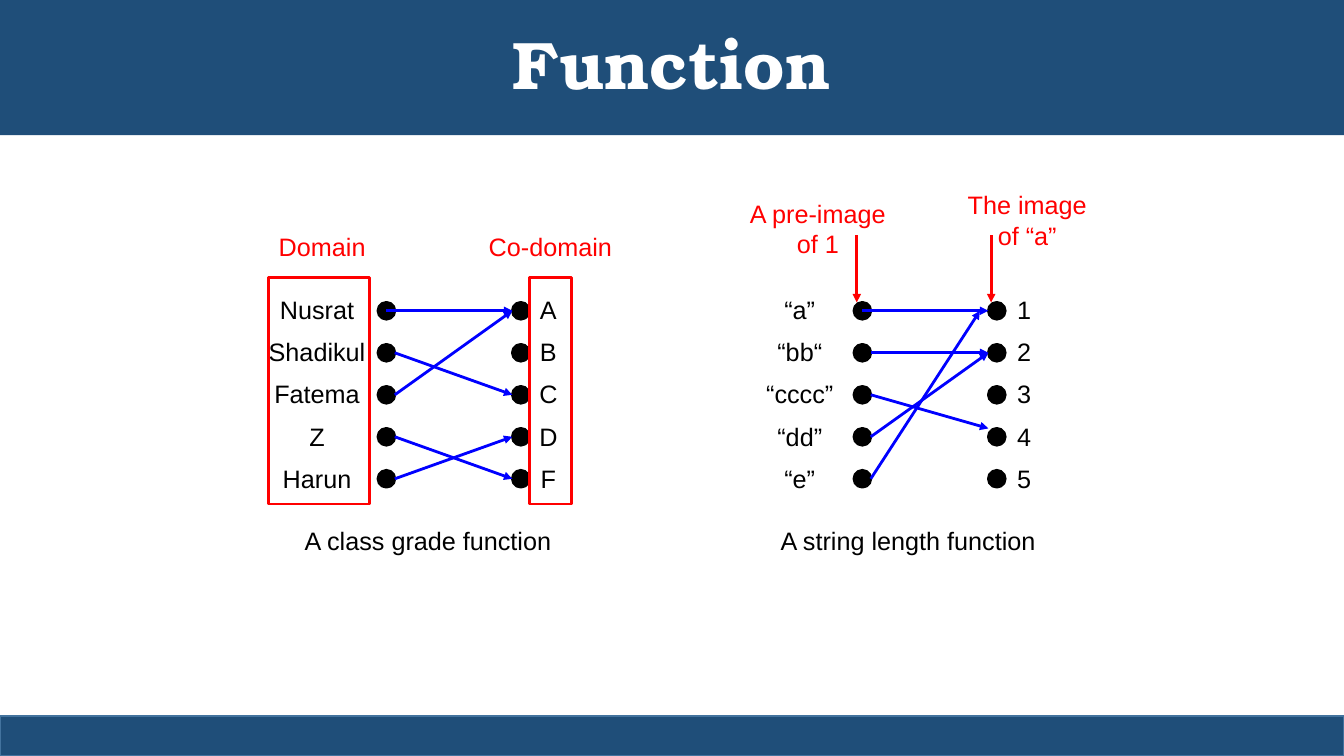
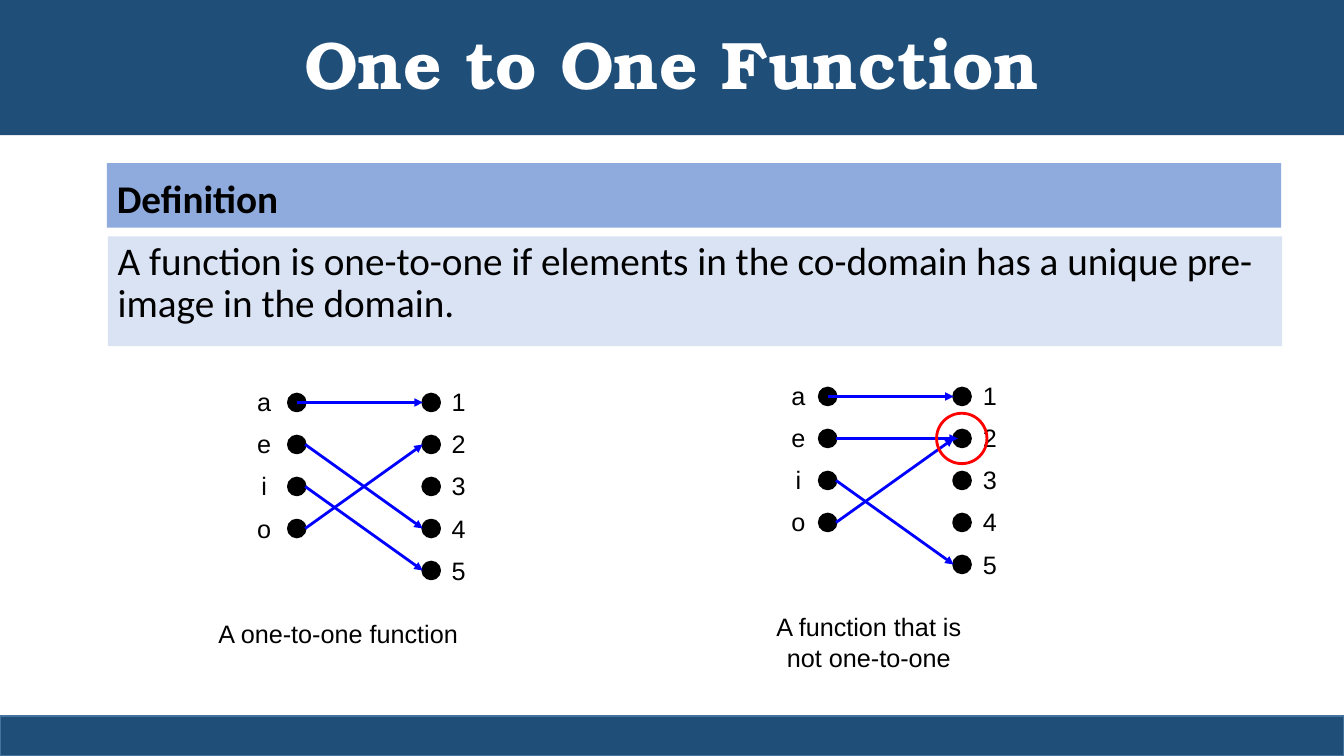
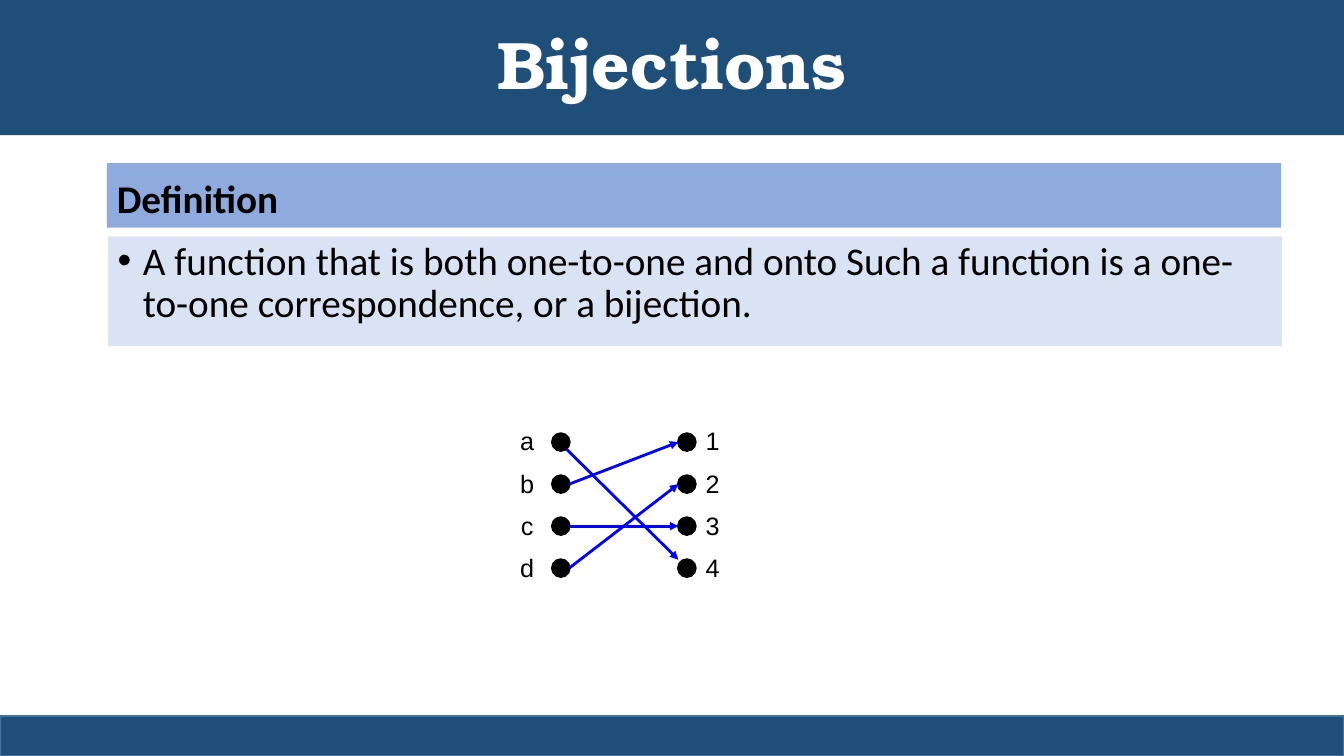
from collections import namedtuple
from dataclasses import dataclass

from lxml.etree import SubElement
from pptx import Presentation
from pptx.dml.color import RGBColor
from pptx.enum.shapes import MSO_CONNECTOR, MSO_SHAPE
from pptx.enum.text import MSO_ANCHOR, PP_ALIGN
from pptx.oxml.ns import qn
from pptx.util import Pt


@dataclass(frozen=True)
class Theme:
    band: str = "1F4E79"
    band_edge: str = "43739E"
    heading_fill: str = "8FAADC"
    body_fill: str = "DAE3F3"
    black: str = "000000"
    white: str = "FFFFFF"
    blue: str = "0000FF"
    red: str = "FF0000"
    title_font: str = "TeX Gyre Bonum"
    body_font: str = "Calibri"
    label_font: str = "Arial"
    title_size: int = 48
    body_size: int = 28
    label_size: int = 18
    stroke: int = 2


theme = Theme()
Arrow = namedtuple("Arrow", "source target start_x start_y end_x end_y", defaults=(0, 0, 0, 0))
Column = namedtuple("Column", "dots_left labels_left labels_width labels")
Diagram = namedtuple("Diagram", "top domain codomain arrows caption", defaults=(None,))
Note = namedtuple("Note", "text left top width")


def draw(slide, preset, box, fill=None, line=None, width=theme.stroke):
    shape = slide.shapes.add_shape(preset, *map(Pt, box))
    shape.shadow.inherit = False
    if fill:
        shape.fill.solid()
        shape.fill.fore_color.rgb = RGBColor.from_string(fill)
    else:
        shape.fill.background()
    if line:
        shape.line.color.rgb = RGBColor.from_string(line)
        shape.line.width = Pt(width)
    else:
        shape.line.fill.background()
    return shape


def write(shape, text, font=theme.label_font, size=theme.label_size, color=theme.black,
          bold=False, align=PP_ALIGN.CENTER, anchor=MSO_ANCHOR.TOP, spacing=1.0,
          wrap=False, bullet=False):
    frame = shape.text_frame
    frame.word_wrap = wrap
    frame.vertical_anchor = anchor
    for index, line in enumerate(text.split("\n")):
        paragraph = frame.add_paragraph() if index else frame.paragraphs[0]
        if bullet:
            properties = paragraph._p.get_or_add_pPr()
            properties.set("marL", str(Pt(18)))
            properties.set("indent", str(-Pt(18)))
            SubElement(properties, qn("a:buFont"), typeface="Arial")
            SubElement(properties, qn("a:buChar"), char="•")
        paragraph.alignment = align
        paragraph.line_spacing = spacing
        run = paragraph.add_run()
        run.text = line
        run.font.name = font
        run.font.size = Pt(size)
        run.font.bold = bold
        run.font.color.rgb = RGBColor.from_string(color)


WIDTH, HEIGHT = 960, 540
DOT, PITCH = 12, 30
NUMBERS = "1\n2\n3\n4\n5"
VOWELS = "a\ne\ni\no"

pages = [
    dict(
        title="Function",
        diagrams=[
            Diagram(216, Column(610, 540, 62.6, "“a”\n“bb“\n“cccc”\n“dd”\n“e”"),
                    Column(706, 719.3, 24.5, NUMBERS),
                    [Arrow(0, 0, start_x=-6), Arrow(1, 1), Arrow(3, 1),
                     Arrow(2, 3, end_y=-6), Arrow(4, 0, end_x=-6)],
                    Note("A string length function", 550, 372, 197.3)),
            Diagram(216, Column(270, 179.3, 94.3, "Nusrat\nShadikul\nFatema\nZ\nHarun"),
                    Column(366, 378, 27.4, "A\nB\nC\nD\nF"),
                    [Arrow(0, 0, start_x=-6), Arrow(1, 2), Arrow(3, 4), Arrow(2, 0), Arrow(4, 3)],
                    Note("A class grade function", 210, 372, 191.5)),
        ],
        frames=[(MSO_SHAPE.RECTANGLE, (192, 198, 72, 162)),
                (MSO_SHAPE.RECTANGLE, (378, 198, 30, 162))],
        notes=[Note("Domain", 192, 162, 76.3), Note("Co-domain", 342, 162, 102.2),
               Note("A pre-image\nof 1", 528, 138, 112.3),
               Note("The image\nof “a”", 684, 132, 99.4)],
        pointers=[612, 708],
    ),
    dict(
        title="One to One Function",
        definition="A function is one-to-one if elements in the co-domain has a unique pre-image in the domain.",
        diagrams=[
            Diagram(281.5, Column(206, 176.4, 24.5, VOWELS), Column(302, 315.4, 24.5, NUMBERS),
                    [Arrow(0, 0, start_x=-6), Arrow(1, 3), Arrow(3, 1), Arrow(2, 4)],
                    Note("A one-to-one function", 148.3, 437.8, 186.5)),
            Diagram(277.2, Column(585.2, 558, 24.5, VOWELS), Column(681.2, 694.8, 24.5, NUMBERS),
                    [Arrow(0, 0, start_x=-6), Arrow(1, 1, end_x=3), Arrow(3, 1), Arrow(2, 4)],
                    Note("A function that is\nnot one-to-one", 544.3, 433.4, 152.6)),
        ],
        frames=[(MSO_SHAPE.OVAL, (669, 295.2, 36, 36))],
    ),
    dict(
        title="Bijections",
        definition="A function that is both one-to-one and onto Such a function is a one-to-one correspondence, or a bijection.",
        bullet=True,
        diagrams=[
            Diagram(309.8, Column(394.6, 364.3, 24.5, "a\nb\nc\nd"),
                    Column(484.6, 496.8, 24.5, "1\n2\n3\n4"),
                    [Arrow(2, 2), Arrow(0, 3, start_x=-2, start_y=5, end_y=-6),
                     Arrow(3, 1), Arrow(1, 0)]),
        ],
    ),
]

presentation = Presentation()
presentation.slide_width, presentation.slide_height = Pt(WIDTH), Pt(HEIGHT)

for page in pages:
    slide = presentation.slides.add_slide(presentation.slide_layouts[6])
    title_band = draw(slide, MSO_SHAPE.RECTANGLE, (0, 0, WIDTH, 96.5), theme.band)
    write(title_band, page["title"], font=theme.title_font, size=theme.title_size,
          color=theme.white, bold=True, anchor=MSO_ANCHOR.MIDDLE, spacing=0.9, wrap=True)
    draw(slide, MSO_SHAPE.RECTANGLE, (0, 511.5, WIDTH, 28.5), theme.band, theme.band_edge, 1)

    if "definition" in page:
        heading = draw(slide, MSO_SHAPE.RECTANGLE, (76.3, 116.5, 838.8, 46.2), theme.heading_fill)
        write(heading, "Definition", font=theme.body_font, size=theme.body_size, bold=True,
              align=PP_ALIGN.LEFT, spacing=1.14, wrap=True)
        body = draw(slide, MSO_SHAPE.RECTANGLE, (77, 168.8, 838.8, 78.5), theme.body_fill)
        write(body, page["definition"], font=theme.body_font, size=theme.body_size,
              align=PP_ALIGN.LEFT, spacing=0.9, wrap=True, bullet=page.get("bullet", False))

    lines = [(x, 168, x, 216, theme.red) for x in page.get("pointers", [])]
    notes = [(note, theme.red) for note in page.get("notes", [])]

    for diagram in page["diagrams"]:
        for column in (diagram.domain, diagram.codomain):
            count = len(column.labels.split("\n"))
            for row in range(count):
                draw(slide, MSO_SHAPE.OVAL,
                     (column.dots_left, diagram.top + row * PITCH, DOT, DOT),
                     theme.black, theme.black)
            labels = slide.shapes.add_textbox(
                Pt(column.labels_left), Pt(diagram.top - 18),
                Pt(column.labels_width), Pt(count * PITCH + 8))
            write(labels, column.labels, spacing=1.4)
        middle = diagram.top + DOT / 2
        for arrow in diagram.arrows:
            lines.append((diagram.domain.dots_left + DOT + arrow.start_x,
                          middle + arrow.source * PITCH + arrow.start_y,
                          diagram.codomain.dots_left + arrow.end_x,
                          middle + arrow.target * PITCH + arrow.end_y,
                          theme.blue))
        if diagram.caption:
            notes.append((diagram.caption, theme.black))

    for *ends, color in lines:
        connector = slide.shapes.add_connector(MSO_CONNECTOR.STRAIGHT, *map(Pt, ends))
        connector.line.color.rgb = RGBColor.from_string(color)
        connector.line.width = Pt(theme.stroke)
        SubElement(connector.line._get_or_add_ln(), qn("a:tailEnd"), type="triangle")
        SubElement(connector._element.spPr, qn("a:effectLst"))

    for preset, box in page.get("frames", []):
        draw(slide, preset, box, line=theme.red)

    for note, color in notes:
        height = 7.2 + 21.6 * len(note.text.split("\n"))
        text_box = slide.shapes.add_textbox(
            Pt(note.left), Pt(note.top), Pt(note.width), Pt(height))
        write(text_box, note.text, color=color)

presentation.save("out.pptx")
